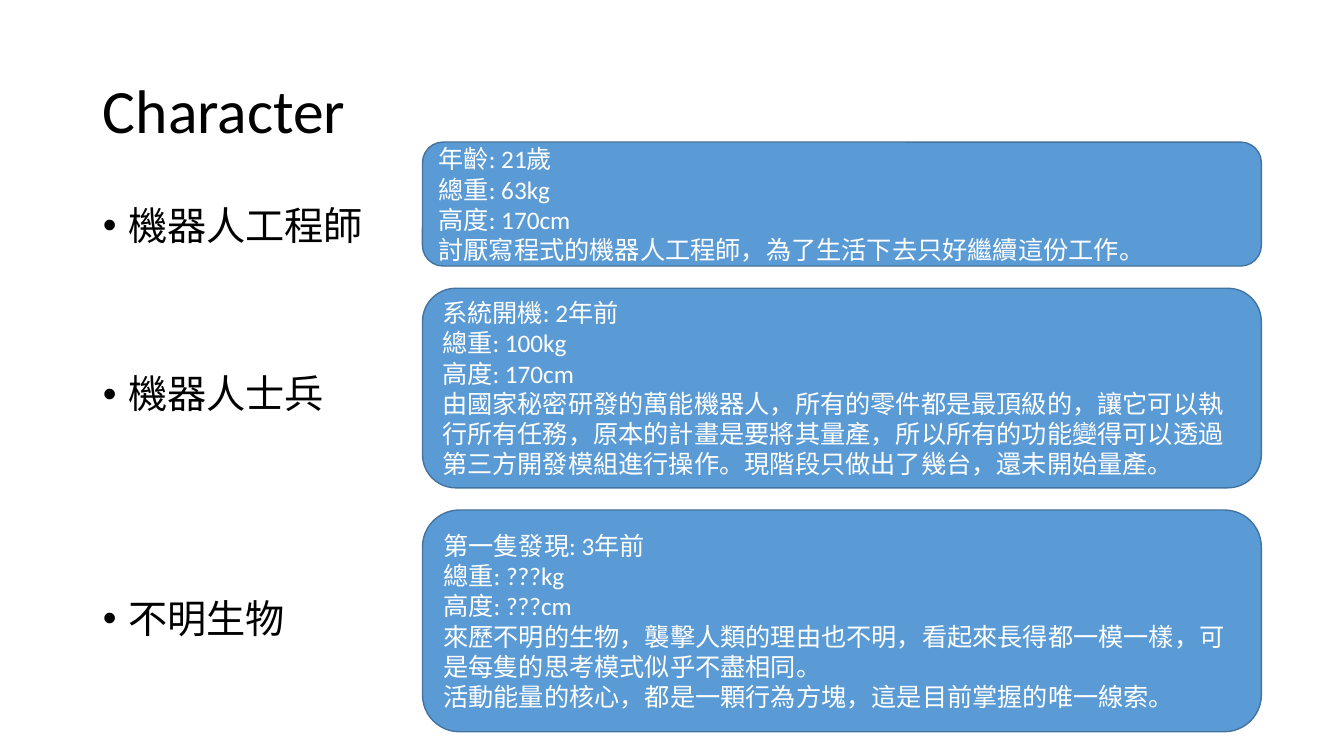
from pptx import Presentation
from pptx.dml.color import RGBColor
from pptx.enum.shapes import MSO_SHAPE
from pptx.enum.text import MSO_ANCHOR, MSO_AUTO_SIZE, PP_ALIGN
from pptx.util import Inches, Pt

TITLE = "Character"
# name, space before its bullet (pt), card top, card height, card lines
ROLES = [
    ("機器人工程師", 0, 1.41, 1.23, [
        "年齡: 21歲",
        "總重: 63kg",
        "高度: 170cm",
        "討厭寫程式的機器人工程師，為了生活下去只好繼續這份工作。",
    ]),
    ("機器人士兵", 90, 2.86, 1.98, [
        "系統開機: 2年前",
        "總重: 100kg",
        "高度: 170cm",
        "由國家秘密研發的萬能機器人，所有的零件都是最頂級的，讓它可以執行所有任務，"
        "原本的計畫是要將其量產，所以所有的功能變得可以透過第三方開發模組進行操作。"
        "現階段只做出了幾台，還未開始量產。",
    ]),
    ("不明生物", 130, 5.06, 2.2, [
        "第一隻發現: 3年前",
        "總重: ???kg",
        "高度: ???cm",
        "來歷不明的生物，襲擊人類的理由也不明，看起來長得都一模一樣，"
        "可是每隻的思考模式似乎不盡相同。",
        "活動能量的核心，都是一顆行為方塊，這是目前掌握的唯一線索。",
    ]),
]
CARD_LEFT, CARD_WIDTH = 4.19, 8.32
FONT = "Calibri"
BLACK = RGBColor(0x00, 0x00, 0x00)
WHITE = RGBColor(0xFF, 0xFF, 0xFF)
BLUE = RGBColor(0x5B, 0x9B, 0xD5)
EDGE = RGBColor(0x43, 0x73, 0x9E)


def place(shape, left, top, width, height):
    shape.left, shape.top = Inches(left), Inches(top)
    shape.width, shape.height = Inches(width), Inches(height)


def write(frame, lines, size, color, anchor):
    """Fill a text frame with left-aligned paragraphs of one style."""
    frame.text = "\n".join(lines)
    frame.word_wrap = True
    frame.auto_size = MSO_AUTO_SIZE.NONE
    frame.vertical_anchor = anchor
    for para in frame.paragraphs:
        para.alignment = PP_ALIGN.LEFT
        para.font.name = FONT
        para.font.size = Pt(size)
        para.font.color.rgb = color


def add_card(slide, top, height, lines):
    card = slide.shapes.add_shape(
        MSO_SHAPE.ROUNDED_RECTANGLE, Inches(CARD_LEFT), Inches(top),
        Inches(CARD_WIDTH), Inches(height))
    card.shadow.inherit = False
    card.fill.solid()
    card.fill.fore_color.rgb = BLUE
    card.line.color.rgb = EDGE
    card.line.width = Pt(1)
    write(card.text_frame, lines, 18, WHITE, MSO_ANCHOR.MIDDLE)


def main():
    deck = Presentation()
    deck.slide_width, deck.slide_height = Inches(13.33), Inches(7.5)
    slide = deck.slides.add_slide(deck.slide_layouts[1])

    title, body = slide.placeholders
    place(title, 0.92, 0.4, 11.5, 1.45)
    write(title.text_frame, [TITLE], 44, BLACK, MSO_ANCHOR.MIDDLE)
    title.text_frame.paragraphs[0].line_spacing = 0.9

    place(body, 0.92, 2, 4.18, 4.76)
    names = [role[0] for role in ROLES]
    write(body.text_frame, names, 28, BLACK, MSO_ANCHOR.TOP)
    for para, role in zip(body.text_frame.paragraphs, ROLES):
        para.line_spacing = 0.9
        para.space_before = Pt(role[1])
        props = para._p.get_or_add_pPr()
        props.set("marL", str(Inches(0.25)))
        props.set("indent", str(Inches(-0.25)))

    for _, _, top, height, lines in ROLES:
        add_card(slide, top, height, lines)
    deck.save("out.pptx")


if __name__ == "__main__":
    main()
